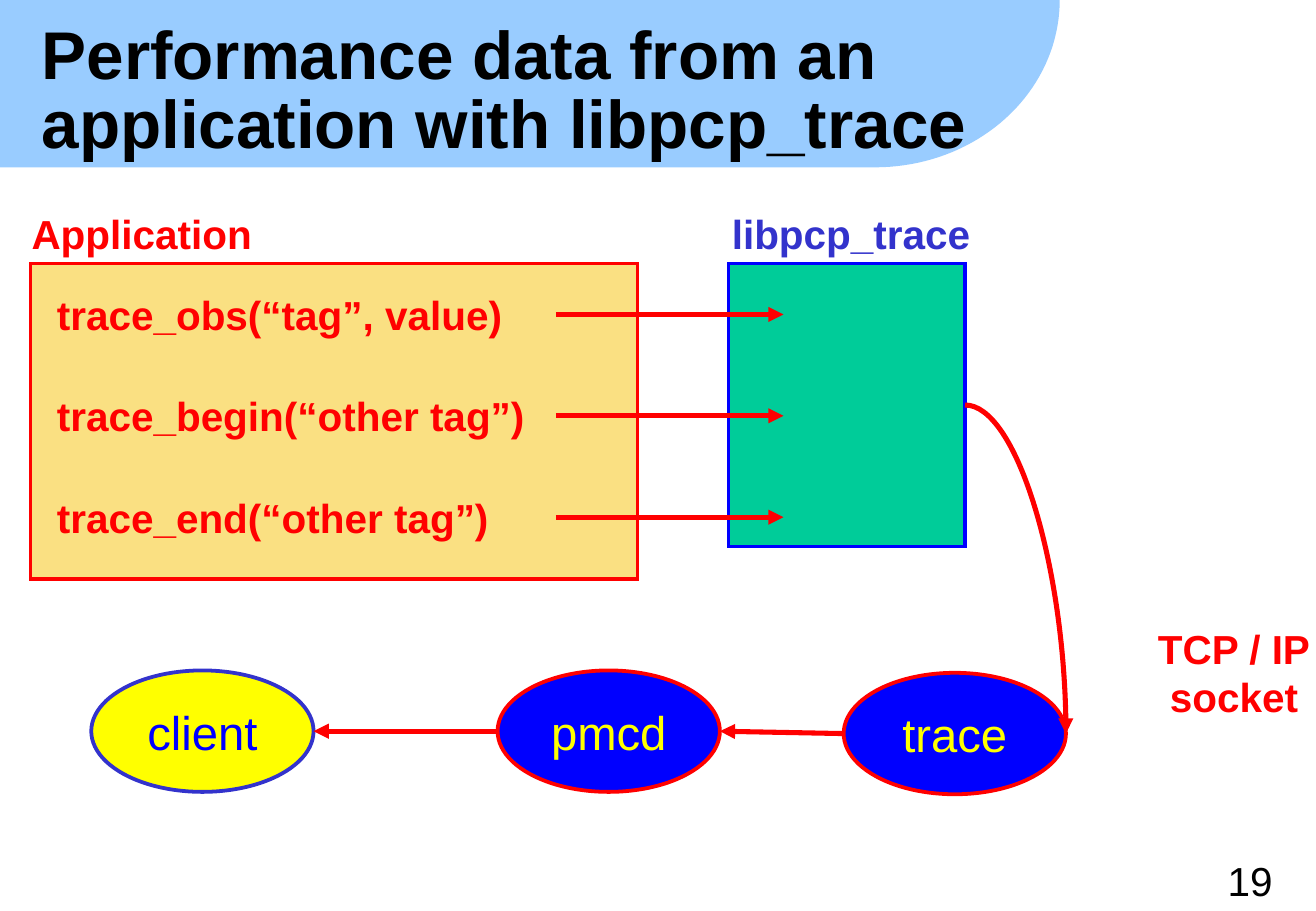
from math import cos, pi, sin

from lxml.etree import SubElement
from pptx import Presentation
from pptx.dml.color import RGBColor
from pptx.enum.shapes import MSO_CONNECTOR, MSO_SHAPE
from pptx.enum.text import MSO_ANCHOR, PP_ALIGN
from pptx.oxml.ns import qn
from pptx.util import Cm, Pt

COLORS = {
    "black": "000000", "sky": "99CCFF", "sand": "FAE082", "green": "00CC99",
    "red": "FF0000", "blue": "0000FF", "indigo": "3333CC", "yellow": "FFFF00",
}


def write(shape, text, size, color, bold=False, align=PP_ALIGN.CENTER):
    """Set the text of a shape and format all its runs."""
    shape.text_frame.text = text
    for paragraph in shape.text_frame.paragraphs:
        paragraph.alignment = align
        for run in paragraph.runs:
            run.font.name = "Arial"
            run.font.size = Pt(size)
            run.font.bold = bold
            run.font.color.rgb = RGBColor.from_string(COLORS[color])


def add_arrow(kind, *ends):
    """Draw a red arrow between two points given in centimetres."""
    arrow = slide.shapes.add_connector(kind, *map(Cm, ends))
    arrow.line.color.rgb = RGBColor.from_string(COLORS["red"])
    arrow.line.width = Pt(3)
    SubElement(arrow.element.spPr.find(qn("a:ln")), qn("a:tailEnd"), type="triangle")
    SubElement(arrow.element.spPr, qn("a:effectLst"))
    return arrow


presentation = Presentation()
presentation.slide_width, presentation.slide_height = Cm(27.53), Cm(19.05)
slide = presentation.slides.add_slide(presentation.slide_layouts[5])

# Title on its banner, whose right end is a quarter ellipse
title = slide.shapes.title
title.left, title.top, title.width, title.height = Cm(0.64), Cm(0.41), Cm(21.67), Cm(3.1)
write(title, "Performance data from an application with libpcp_trace",
      40, "black", True, PP_ALIGN.LEFT)
title.text_frame.vertical_anchor = MSO_ANCHOR.MIDDLE
title.text_frame.margin_left = title.text_frame.margin_right = Cm(0.23)
title.text_frame.paragraphs[0].line_spacing = 0.85

straight, bend, banner_height, steps = 18.31, 3.86, 3.5, 40
angles = [step * pi / 2 / steps for step in range(steps + 1)]
outline = [(Cm(straight + bend * cos(a)), Cm(banner_height * sin(a))) for a in angles]
builder = slide.shapes.build_freeform(0, 0)
builder.add_line_segments(outline + [(0, Cm(banner_height))])
banner = builder.convert_to_shape()
banner.shadow.inherit = False
banner.fill.solid()
banner.fill.fore_color.rgb = RGBColor.from_string(COLORS["sky"])
banner.line.fill.background()
title.element.addprevious(banner.element)

# Program boxes and processes
RECT, OVAL = MSO_SHAPE.RECTANGLE, MSO_SHAPE.OVAL
for preset, left, top, width, height, fill, line, name, ink in [
    (RECT, 0.64, 5.51, 12.7, 6.6, "sand", "red", "", "red"),
    (RECT, 15.24, 5.51, 4.95, 5.92, "green", "blue", "", "blue"),
    (OVAL, 1.91, 14.02, 4.65, 2.54, "yellow", "indigo", "client", "blue"),
    (OVAL, 10.41, 14.02, 4.65, 2.54, "blue", "red", "pmcd", "yellow"),
    (OVAL, 17.65, 14.07, 4.65, 2.54, "blue", "red", "trace", "yellow"),
]:
    block = slide.shapes.add_shape(preset, Cm(left), Cm(top), Cm(width), Cm(height))
    block.shadow.inherit = False
    block.fill.solid()
    block.fill.fore_color.rgb = RGBColor.from_string(COLORS[fill])
    block.line.color.rgb = RGBColor.from_string(COLORS[line])
    block.line.width = Pt(2.24)
    SubElement(block.element.spPr.find(qn("a:ln")), qn("a:miter"), lim="800000")
    if name:
        write(block, name, 28, ink)
        block.text_frame.vertical_anchor = MSO_ANCHOR.MIDDLE

# Labels, with the traced calls left-aligned at equal steps
call_left, call_top, call_step, call_width = 0.94, 5.94, 2.12, 10.6
line_height = 1.27
labels = [
    ("Application", 0.41, 4.24, 5.11, "red", PP_ALIGN.CENTER),
    ("libpcp_trace", 15.06, 4.24, 5.49, "indigo", PP_ALIGN.CENTER),
    ("TCP / IP\nsocket", 23.86, 12.92, 3.91, "red", PP_ALIGN.CENTER),
    ("19", 23.97, 17.78, 4.37, "black", PP_ALIGN.CENTER),
]
calls = ["trace_obs(“tag”, value)", "trace_begin(“other tag”)", "trace_end(“other tag”)"]
for row, call in enumerate(calls):
    top = call_top + row * call_step
    labels.append((call, call_left, top, call_width, "red", PP_ALIGN.LEFT))
    middle = top + line_height / 2
    add_arrow(MSO_CONNECTOR.STRAIGHT, 11.63, middle, 16.39, middle)

for text, left, top, width, color, align in labels:
    height = line_height if "\n" not in text else 2.29
    label = slide.shapes.add_textbox(Cm(left), Cm(top), Cm(width), Cm(height))
    label.text_frame.word_wrap = True
    write(label, text, 24, color, color != "black", align)

# Data flow from the library to the client
add_arrow(MSO_CONNECTOR.STRAIGHT, 17.65, 15.34, 15.06, 15.29)
add_arrow(MSO_CONNECTOR.STRAIGHT, 10.41, 15.29, 6.56, 15.29)
socket = add_arrow(MSO_CONNECTOR.CURVE, 20.19, 8.47, 22.3, 15.34)
socket.element.spPr.find(qn("a:prstGeom")).set("prst", "curvedConnector2")

presentation.save("out.pptx")
